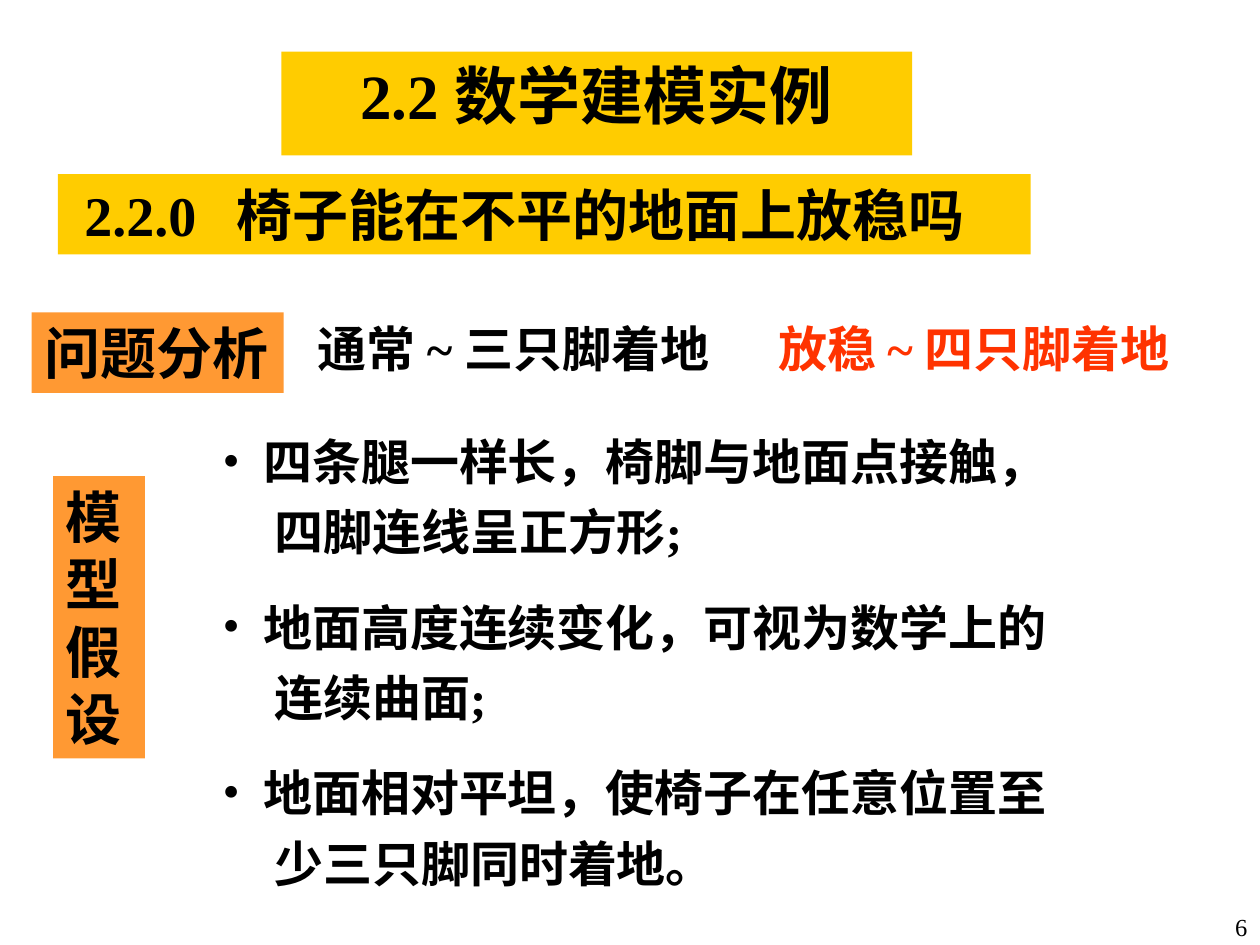
from lxml.etree import SubElement
from pptx import Presentation
from pptx.dml.color import RGBColor
from pptx.enum.shapes import MSO_SHAPE
from pptx.enum.text import MSO_ANCHOR, MSO_AUTO_SIZE, PP_ALIGN
from pptx.oxml.ns import qn
from pptx.util import Cm, Pt

COLORS = {"gold": "FFCC00", "orange": "FF9933", "black": "000000", "red": "FF3300"}
LATIN, CJK = "Times New Roman", "Noto Sans CJK SC"


def write(sp, *runs, size=28, color="black", bold=True, align=PP_ALIGN.LEFT,
          spacing=None, left=0.25, top=0.13, grow=True):
    """Fill a shape with one paragraph; a run is (text, font), a None run breaks the line."""
    tf = sp.text_frame
    tf.word_wrap = True
    tf.auto_size = MSO_AUTO_SIZE.SHAPE_TO_FIT_TEXT if grow else MSO_AUTO_SIZE.NONE
    tf.vertical_anchor = MSO_ANCHOR.TOP
    tf.margin_left, tf.margin_right = Cm(left), Cm(0.25)
    tf.margin_top, tf.margin_bottom = Cm(top), Cm(0.13)
    p = tf.paragraphs[0]
    p.alignment = align
    if spacing:
        p.line_spacing = spacing
    for run in runs:
        if run is None:
            p.add_line_break()
            continue
        r = p.add_run()
        r.text, r.font.name = run
        r.font.size, r.font.bold = Pt(size), bold
        r.font.color.rgb = RGBColor.from_string(COLORS[color])
        SubElement(r.font._element, qn("a:ea"), typeface=CJK)
    return p


def place(sp, box):
    sp.left, sp.top, sp.width, sp.height = (Cm(v) for v in box)


def fill(sp, color):
    sp.fill.solid()
    sp.fill.fore_color.rgb = RGBColor.from_string(COLORS[color])


def add_text(s, box, *runs, **fmt):
    return write(s.shapes.add_textbox(*(Cm(v) for v in box)), *runs, **fmt)


def add_label(s, box, color, *runs, **fmt):
    sp = s.shapes.add_shape(MSO_SHAPE.RECTANGLE, *(Cm(v) for v in box))
    sp.shadow.inherit = False
    fill(sp, color)
    sp.line.fill.background()
    return write(sp, *runs, size=32, **fmt)


def add_headings(s, box):
    x, y, w, h = box
    title = s.shapes.title
    place(title, (x + 4.5, y, 12.72, 1.75))
    fill(title, "gold")
    write(title, ("2.2 ", LATIN), ("数学建模实例", CJK),
          size=36, align=PP_ALIGN.CENTER, top=0.1)
    p = add_label(s, (x, y + h - 1.62, w, 1.62), "gold",
                  ("2.2.0\t", LATIN), ("椅子能在不平的地面上放稳吗", CJK), left=0.53)
    tabs = SubElement(p._p.get_or_add_pPr(), qn("a:tabLst"))
    SubElement(tabs, qn("a:tab"), pos=str(Cm(3.06)), algn="l")


def add_analysis(s, box):
    x, y, w, h = box
    add_label(s, (x, y, 5.08, 1.62), "orange", ("问题分析", LATIN))
    text_w = 8.69
    add_text(s, (x + 5.52, y, text_w, h), ("通常 ~ 三只脚着地", LATIN))
    add_text(s, (x + w - text_w, y, text_w, h), ("放稳 ~ 四只脚着地", LATIN), color="red")


def add_assumptions(s, box, items):
    x, y, w, h = box
    add_label(s, (x, y + 1.27, 1.85, 5.69), "orange", ("模型假设", LATIN))
    item_h = 3.1
    pitch = (h - item_h) / (len(items) - 1)
    for i, (first, second) in enumerate(items):
        p = add_text(s, (x + 3.17, y + i * pitch, w - 3.17, item_h),
                     (first, LATIN), None, (" " + second, LATIN), spacing=1.2)
        pPr = p._p.get_or_add_pPr()
        pPr.set("marL", str(Cm(0.82)))
        pPr.set("indent", str(-Cm(0.82)))
        SubElement(pPr, qn("a:buFont"), typeface=LATIN)
        SubElement(pPr, qn("a:buChar"), char="•")


def main():
    prs = Presentation()
    prs.slide_width, prs.slide_height = Cm(25.4), Cm(19.05)
    s = prs.slides.add_slide(prs.slide_layouts[5])
    add_headings(s, (1.17, 1.04, 19.61, 4.09))
    add_analysis(s, (0.64, 6.3, 23.49, 2.64))
    add_assumptions(s, (1.07, 8.33, 22.3, 9.78), [
        ("四条腿一样长，椅脚与地面点接触，", "四脚连线呈正方形;"),
        ("地面高度连续变化，可视为数学上的", "连续曲面;"),
        ("地面相对平坦，使椅子在任意位置至", "少三只脚同时着地。"),
    ])
    add_text(s, (24.33, 18.26, 1.07, 0.79), ("6", LATIN),
             size=14, bold=False, align=PP_ALIGN.RIGHT, grow=False)
    prs.save("out.pptx")


if __name__ == "__main__":
    main()
